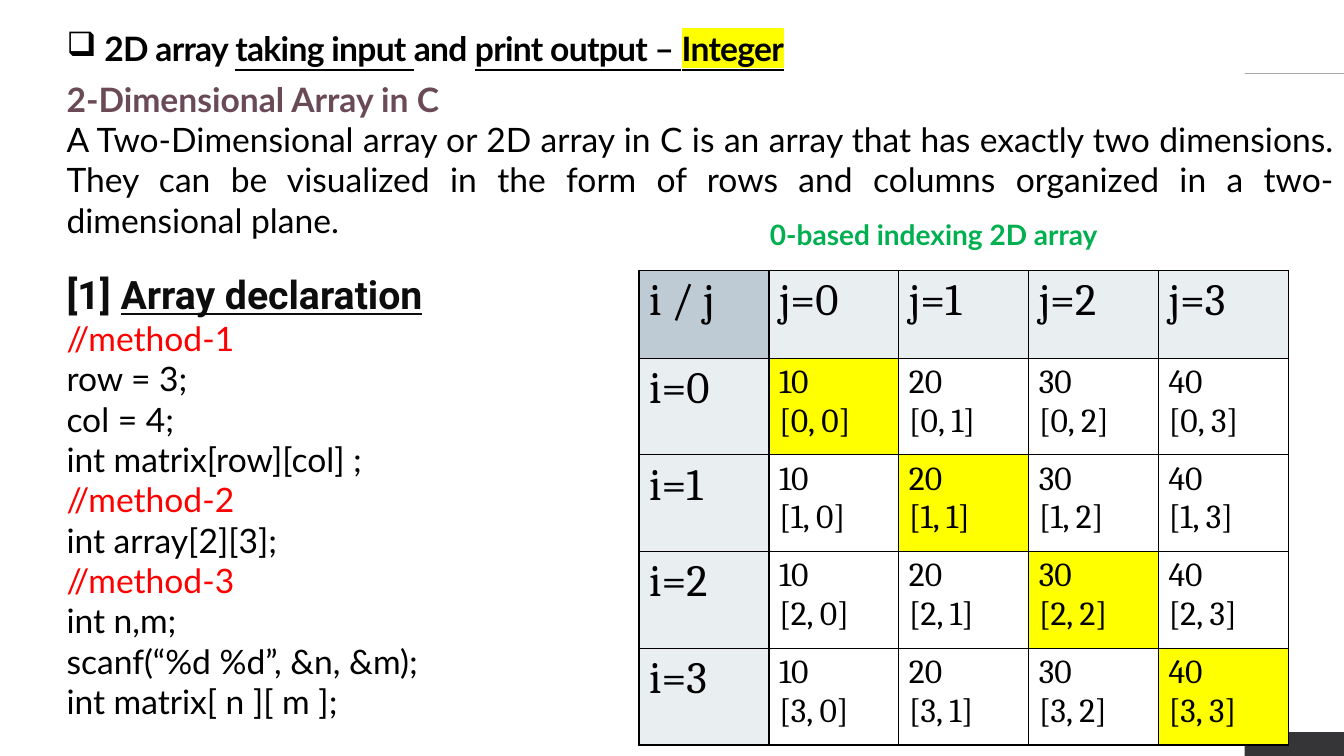
"""Build a slide that introduces two-dimensional arrays in C."""
from dataclasses import dataclass

from lxml import etree
from pptx import Presentation
from pptx.dml.color import RGBColor
from pptx.enum.shapes import MSO_SHAPE
from pptx.enum.text import MSO_ANCHOR, MSO_AUTO_SIZE, PP_ALIGN
from pptx.oxml.ns import qn
from pptx.util import Pt

RECTANGLE = MSO_SHAPE.RECTANGLE
TOP, BOTTOM = MSO_ANCHOR.TOP, MSO_ANCHOR.BOTTOM
LEFT, JUSTIFY = PP_ALIGN.LEFT, PP_ALIGN.JUSTIFY
NO_FIT, FIT_SHAPE = MSO_AUTO_SIZE.NONE, MSO_AUTO_SIZE.SHAPE_TO_FIT_TEXT


@dataclass(frozen=True)
class Theme:
    text_font: str = "Lato"
    heading_font: str = "Roboto"
    table_font: str = "Cambria"
    black: str = "000000"
    white: str = "FFFFFF"
    strip: str = "353537"
    topic: str = "6A4A57"
    heading: str = "0D0D0D"
    comment: str = "FF0000"
    caption: str = "00B050"
    mark: str = "FFFF00"
    corner: str = "BECBD5"
    header: str = "E9EEF1"
    text_size: float = 24
    heading_size: float = 28
    index_size: float = 32
    caption_size: float = 20


THEME = Theme()


@dataclass(frozen=True)
class Span:
    text: str
    color: str = THEME.black
    size: float = THEME.text_size
    font: str = THEME.text_font
    bold: bool = False
    underline: bool = False
    highlight: str = ""
    spacing: int = 0


@dataclass(frozen=True)
class Line:
    spans: tuple[Span, ...]
    align: PP_ALIGN = JUSTIFY
    space_before: float = 0


@dataclass(frozen=True)
class Box:
    left: float
    top: float
    width: float
    height: float


STRIP_BOX = Box(889, 0, 71, 540)
TITLE_BOX = Box(40.3, -0.5, 919.7, 53)
BODY_BOX = Box(40.3, 52.6, 919.7, 470.1)
CAPTION_BOX = Box(542.9, 151.9, 275, 31.7)
TABLE_BOX = Box(456.5, 193, 464, 339.2)
HEADER_HEIGHT = 62.8
MATRIX_ROWS, MATRIX_COLS = 4, 4

TITLE = Line(tuple(
    Span(text, bold=True, underline=underline, highlight=highlight, spacing=-50)
    for text, underline, highlight in (
        ("2D array ", False, ""),
        ("taking input ", True, ""),
        ("and ", False, ""),
        ("print output – ", True, ""),
        ("Integer", True, THEME.mark),
    )), LEFT)

INTRODUCTION = (
    Line((Span("2-Dimensional Array in C", THEME.topic, bold=True),)),
    Line((Span("A Two-Dimensional array or 2D array in C is an array that has exactly "
               "two dimensions. They can be visualized in the form of rows and columns "
               "organized in a two-dimensional plane."),)),
    Line(tuple(
        Span(text, THEME.heading, THEME.heading_size, THEME.heading_font, True, underline)
        for text, underline in (("[1] ", False), ("Array declaration", True))
    ), space_before=22),
)

DECLARATIONS = (
    "//method-1",
    "row = 3;",
    "col = 4;",
    "int matrix[row][col] ;",
    "//method-2",
    "int array[2][3];",
    "//method-3",
    "int n,m;",
    "scanf(“%d %d”, &n, &m);",
    "int matrix[ n ][ m ];",
)

CAPTION = Line((Span("0-based indexing 2D array", THEME.caption,
                     THEME.caption_size, bold=True),))


def rgb(color: str) -> RGBColor:
    return RGBColor.from_string(color)


def place(shape, box: Box) -> None:
    shape.left, shape.top = Pt(box.left), Pt(box.top)
    shape.width, shape.height = Pt(box.width), Pt(box.height)


def paint(shape, color: str) -> None:
    shape.fill.solid()
    shape.fill.fore_color.rgb = rgb(color)


def set_bullet(paragraph, char: str = "", indent: float = 0) -> None:
    properties = paragraph._p.get_or_add_pPr()
    properties.set("marL", str(Pt(indent)))
    properties.set("indent", str(-Pt(indent)))
    if char:
        etree.SubElement(properties, qn("a:buChar"), char=char)
    else:
        etree.SubElement(properties, qn("a:buNone"))


def write_line(paragraph, line: Line) -> None:
    paragraph.alignment = line.align
    paragraph.space_before = Pt(line.space_before)
    for span in line.spans:
        run = paragraph.add_run()
        run.text = span.text
        font = run.font
        font.name, font.size = span.font, Pt(span.size)
        font.bold, font.underline = span.bold, span.underline
        font.color.rgb = rgb(span.color)
        properties = run._r.get_or_add_rPr()
        if span.spacing:
            properties.set("spc", str(span.spacing))
        if span.highlight:
            highlight = etree.Element(qn("a:highlight"))
            etree.SubElement(highlight, qn("a:srgbClr"), val=span.highlight)
            properties.find(qn("a:solidFill")).addnext(highlight)


def write_lines(text_frame, lines: tuple[Line, ...]) -> None:
    for number, line in enumerate(lines):
        write_line(text_frame.add_paragraph() if number else text_frame.paragraphs[0], line)


def add_strip(slide) -> None:
    strip = slide.shapes.add_shape(RECTANGLE, 0, 0, 0, 0)
    place(strip, STRIP_BOX)
    paint(strip, THEME.strip)
    strip.line.fill.background()
    strip.shadow.inherit = False
    slide.shapes._spTree.insert(2, strip._element)


def fill_placeholder(shape, box: Box, lines: tuple[Line, ...], anchor: MSO_ANCHOR) -> None:
    place(shape, box)
    paint(shape, THEME.white)
    frame = shape.text_frame
    frame.auto_size, frame.vertical_anchor, frame.word_wrap = NO_FIT, anchor, True
    write_lines(frame, lines)


def fill_cell(cell, texts: tuple[str, ...], size: float, fill: str) -> None:
    write_lines(cell.text_frame, tuple(
        Line((Span(text, size=size, font=THEME.table_font),), LEFT) for text in texts))
    properties = cell._tc.get_or_add_tcPr()
    for side in ("lnL", "lnR", "lnT", "lnB"):
        border = etree.SubElement(properties, qn(f"a:{side}"), w=str(Pt(1)))
        color = etree.SubElement(border, qn("a:solidFill"))
        etree.SubElement(color, qn("a:srgbClr"), val=THEME.black)
    paint(cell, fill)


def add_matrix(slide) -> None:
    frame = slide.shapes.add_table(MATRIX_ROWS + 1, MATRIX_COLS + 1, 0, 0, 0, 0)
    place(frame, TABLE_BOX)
    table = frame.table
    table.first_row = table.horz_banding = False
    for column in table.columns:
        column.width = Pt(TABLE_BOX.width / (MATRIX_COLS + 1))
    for number, row in enumerate(table.rows):
        row.height = Pt((TABLE_BOX.height - HEADER_HEIGHT) / MATRIX_ROWS
                        if number else HEADER_HEIGHT)
    fill_cell(table.cell(0, 0), ("i / j",), THEME.index_size, THEME.corner)
    for j in range(MATRIX_COLS):
        fill_cell(table.cell(0, j + 1), (f"j={j}",), THEME.index_size, THEME.header)
    for i in range(MATRIX_ROWS):
        fill_cell(table.cell(i + 1, 0), (f"i={i}",), THEME.index_size, THEME.header)
        for j in range(MATRIX_COLS):
            fill_cell(table.cell(i + 1, j + 1), (str(10 * (j + 1)), f"[{i}, {j}]"),
                      THEME.text_size, THEME.mark if i == j else THEME.white)


def add_caption(slide) -> None:
    caption = slide.shapes.add_textbox(0, 0, 0, 0)
    place(caption, CAPTION_BOX)
    caption.text_frame.word_wrap = True
    caption.text_frame.auto_size = FIT_SHAPE
    write_lines(caption.text_frame, (CAPTION,))


def main() -> None:
    deck = Presentation()
    deck.slide_width, deck.slide_height = Pt(960), Pt(540)
    slide = deck.slides.add_slide(deck.slide_layouts[1])
    title, body = slide.shapes.title, slide.placeholders[1]
    add_strip(slide)
    fill_placeholder(title, TITLE_BOX, (TITLE,), BOTTOM)
    heading = title.text_frame.paragraphs[0]
    heading.line_spacing = 0.9
    set_bullet(heading, "❑", 27)
    code = tuple(
        Line((Span(text, THEME.comment if text.startswith("//") else THEME.black),))
        for text in DECLARATIONS)
    fill_placeholder(body, BODY_BOX, INTRODUCTION + code, TOP)
    for paragraph in body.text_frame.paragraphs:
        set_bullet(paragraph)
    add_matrix(slide)
    add_caption(slide)
    deck.save("out.pptx")


if __name__ == "__main__":
    main()
